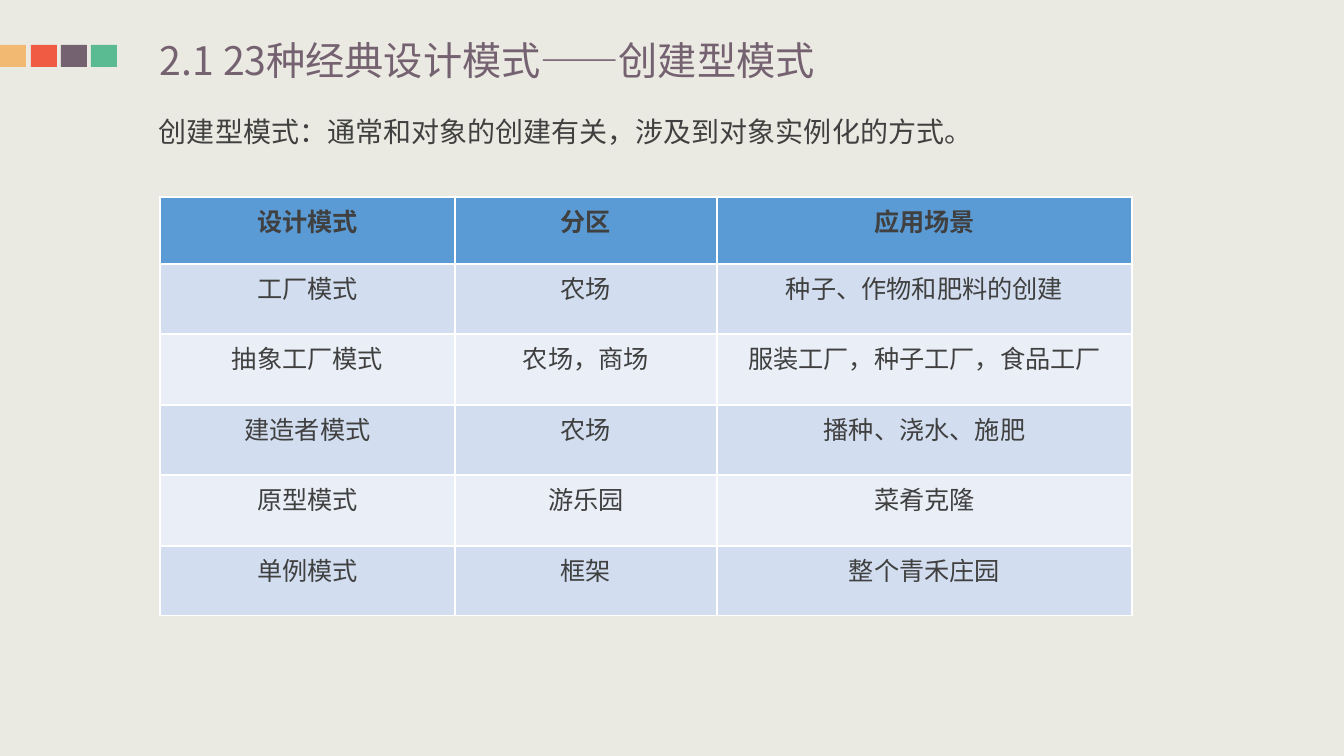
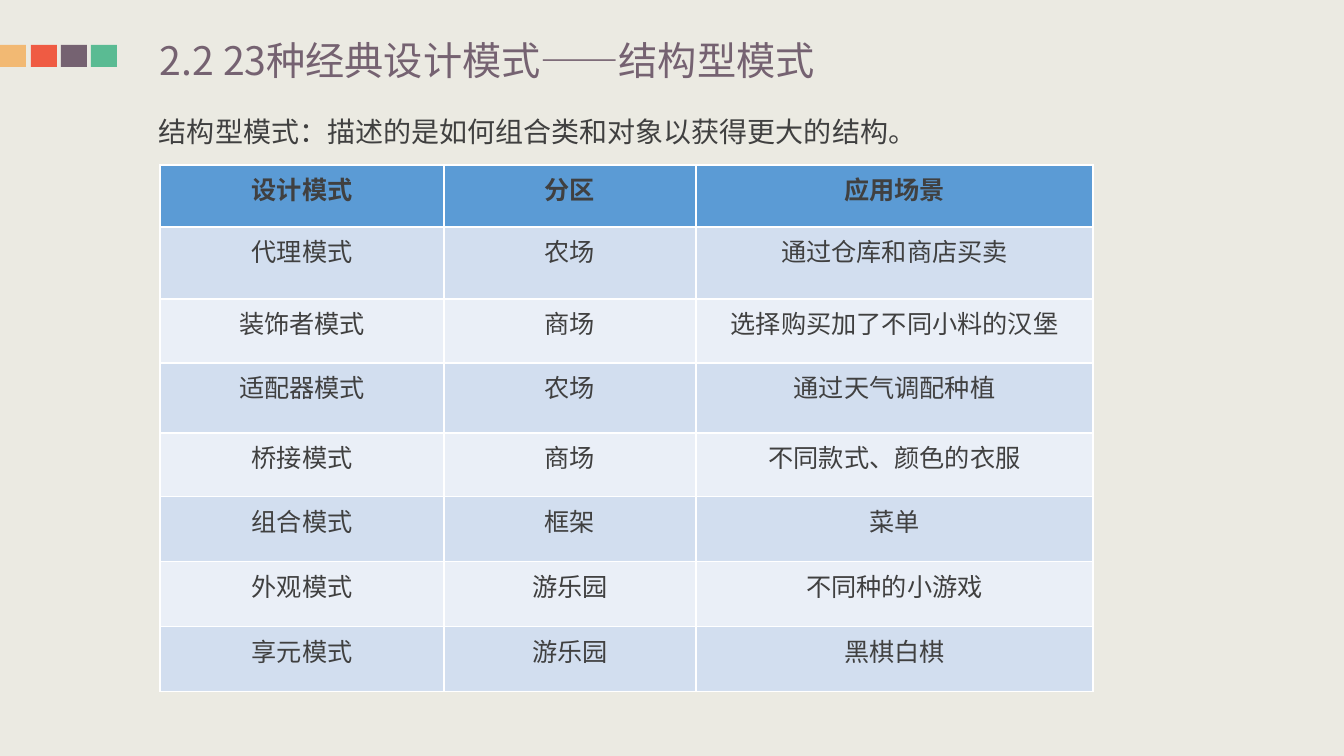
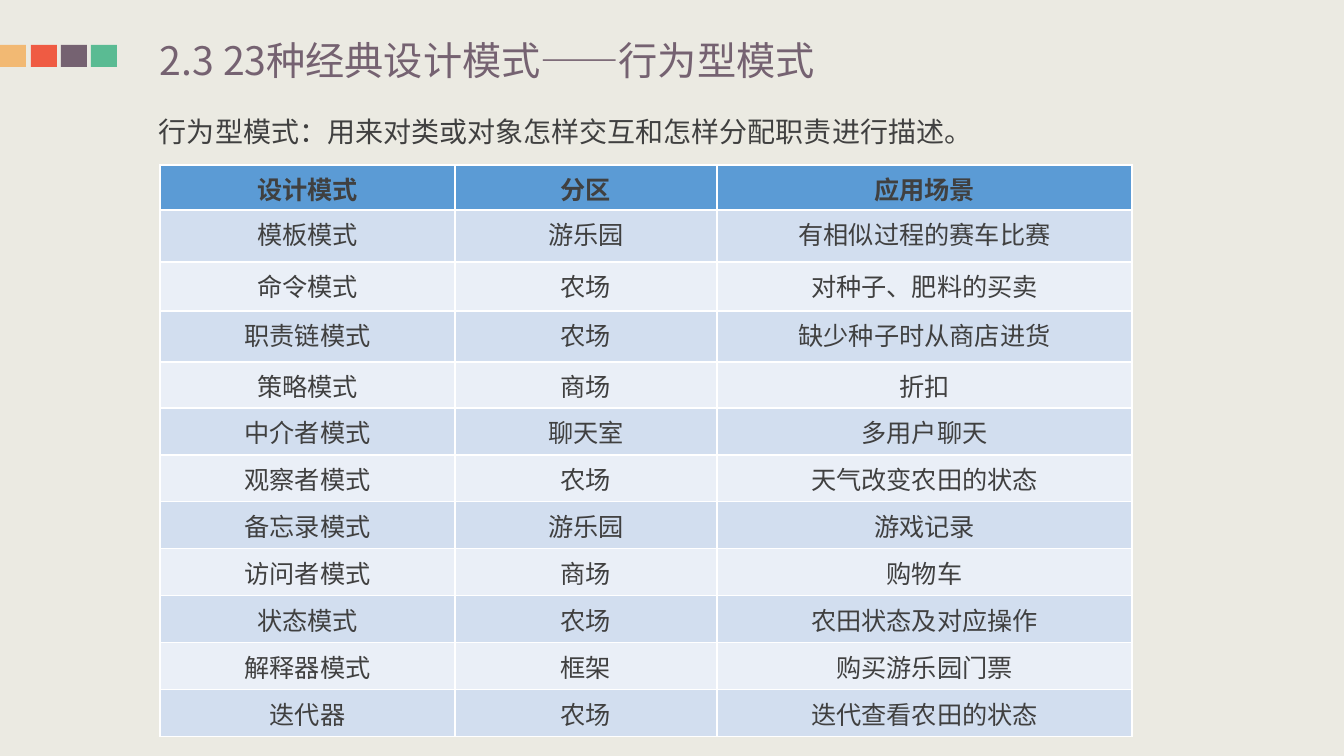
"""Build three slides of tables on the 23 classic design patterns."""
from lxml.etree import SubElement
from pptx import Presentation
from pptx.dml.color import RGBColor
from pptx.enum.shapes import MSO_SHAPE
from pptx.enum.text import PP_ALIGN
from pptx.oxml.ns import qn
from pptx.util import Emu, Pt

FONT = "Noto Sans CJK SC"
BACKGROUND = "EBEAE2"
PLUM = "756271"
INK = "404040"
HEADER_FILL = "5B9BD5"
BAND_FILLS = ("EAEFF7", "D2DEEF")
CHIPS = ((0, "F2B973"), (31, "EF5B43"), (61, PLUM), (91, "5ABB93"))
HEADINGS = ("设计模式", "分区", "应用场景")
LEFT = 160
WIDE = (295, 262, 415)
NARROW = (284, 252, 397)

SECTIONS = (
    {
        "title": "2.1 23种经典设计模式——创建型模式",
        "summary": "创建型模式：通常和对象的创建有关，涉及到对象实例化的方式。",
        "top": 197,
        "columns": WIDE,
        "heights": (67, 70, 71, 70, 71, 70),
        "patterns": (
            ("工厂模式", "农场", "种子、作物和肥料的创建"),
            ("抽象工厂模式", "农场，商场", "服装工厂，种子工厂，食品工厂"),
            ("建造者模式", "农场", "播种、浇水、施肥"),
            ("原型模式", "游乐园", "菜肴克隆"),
            ("单例模式", "框架", "整个青禾庄园"),
        ),
    },
    {
        "title": "2.2 23种经典设计模式——结构型模式",
        "summary": "结构型模式：描述的是如何组合类和对象以获得更大的结构。",
        "top": 165,
        "columns": NARROW,
        "heights": (62, 72, 64, 70, 64, 65, 65, 65),
        "patterns": (
            ("代理模式", "农场", "通过仓库和商店买卖"),
            ("装饰者模式", "商场", "选择购买加了不同小料的汉堡"),
            ("适配器模式", "农场", "通过天气调配种植"),
            ("桥接模式", "商场", "不同款式、颜色的衣服"),
            ("组合模式", "框架", "菜单"),
            ("外观模式", "游乐园", "不同种的小游戏"),
            ("享元模式", "游乐园", "黑棋白棋"),
        ),
    },
    {
        "title": "2.3 23种经典设计模式——行为型模式",
        "summary": "行为型模式：用来对类或对象怎样交互和怎样分配职责进行描述。",
        "top": 165,
        "columns": WIDE,
        "heights": (45, 52, 49, 51, 46) + (47,) * 7,
        "patterns": (
            ("模板模式", "游乐园", "有相似过程的赛车比赛"),
            ("命令模式", "农场", "对种子、肥料的买卖"),
            ("职责链模式", "农场", "缺少种子时从商店进货"),
            ("策略模式", "商场", "折扣"),
            ("中介者模式", "聊天室", "多用户聊天"),
            ("观察者模式", "农场", "天气改变农田的状态"),
            ("备忘录模式", "游乐园", "游戏记录"),
            ("访问者模式", "商场", "购物车"),
            ("状态模式", "农场", "农田状态及对应操作"),
            ("解释器模式", "框架", "购买游乐园门票"),
            ("迭代器", "农场", "迭代查看农田的状态"),
        ),
    },
)


def px(*lengths):
    return [Emu(round(length * 12192000 / 1344)) for length in lengths]


def write(frame, text, size, color, align, bold=False):
    paragraph = frame.paragraphs[0]
    paragraph.text = text
    paragraph.alignment = align
    font = paragraph.font
    font.size = Pt(size)
    font.bold = bold
    font.color.rgb = RGBColor.from_string(color)
    font.name = FONT
    properties = paragraph._p.find(".//" + qn("a:defRPr"))
    SubElement(properties, qn("a:ea"), typeface=FONT)


deck = Presentation()
deck.slide_width, deck.slide_height = px(1344, 756)
backdrop = deck.slide_master.background.fill
backdrop.solid()
backdrop.fore_color.rgb = RGBColor.from_string(BACKGROUND)

for section in SECTIONS:
    slide = deck.slides.add_slide(deck.slide_layouts[6])

    for left, color in CHIPS:
        chip = slide.shapes.add_shape(MSO_SHAPE.RECTANGLE, *px(left, 45, 26, 22))
        chip.shadow.inherit = False
        chip.fill.solid()
        chip.fill.fore_color.rgb = RGBColor.from_string(color)
        chip.line.fill.background()

    title = slide.shapes.add_textbox(*px(LEFT, 36, 763, 47)).text_frame
    title.word_wrap = True
    title.margin_left = title.margin_right = 0
    title.margin_top = title.margin_bottom = 0
    write(title, section["title"], 28, PLUM, PP_ALIGN.LEFT)

    summary = slide.shapes.add_textbox(*px(149, 110, 972, 44)).text_frame
    summary.word_wrap = True
    write(summary, section["summary"], 20, INK, PP_ALIGN.JUSTIFY)

    rows = (HEADINGS,) + section["patterns"]
    columns, heights = section["columns"], section["heights"]
    frame = px(LEFT, section["top"], sum(columns), sum(heights))
    table = slide.shapes.add_table(len(rows), len(columns), *frame).table
    for column, width in zip(table.columns, px(*columns)):
        column.width = width
    for index, (row, height, texts) in enumerate(zip(table.rows, px(*heights), rows)):
        row.height = height
        fill = BAND_FILLS[index % 2] if index else HEADER_FILL
        for cell, text in zip(row.cells, texts):
            cell.fill.solid()
            cell.fill.fore_color.rgb = RGBColor.from_string(fill)
            cell.margin_bottom = px(2)[0]
            write(cell.text_frame, text, 18, INK, PP_ALIGN.CENTER, bold=index == 0)

deck.save("out.pptx")
